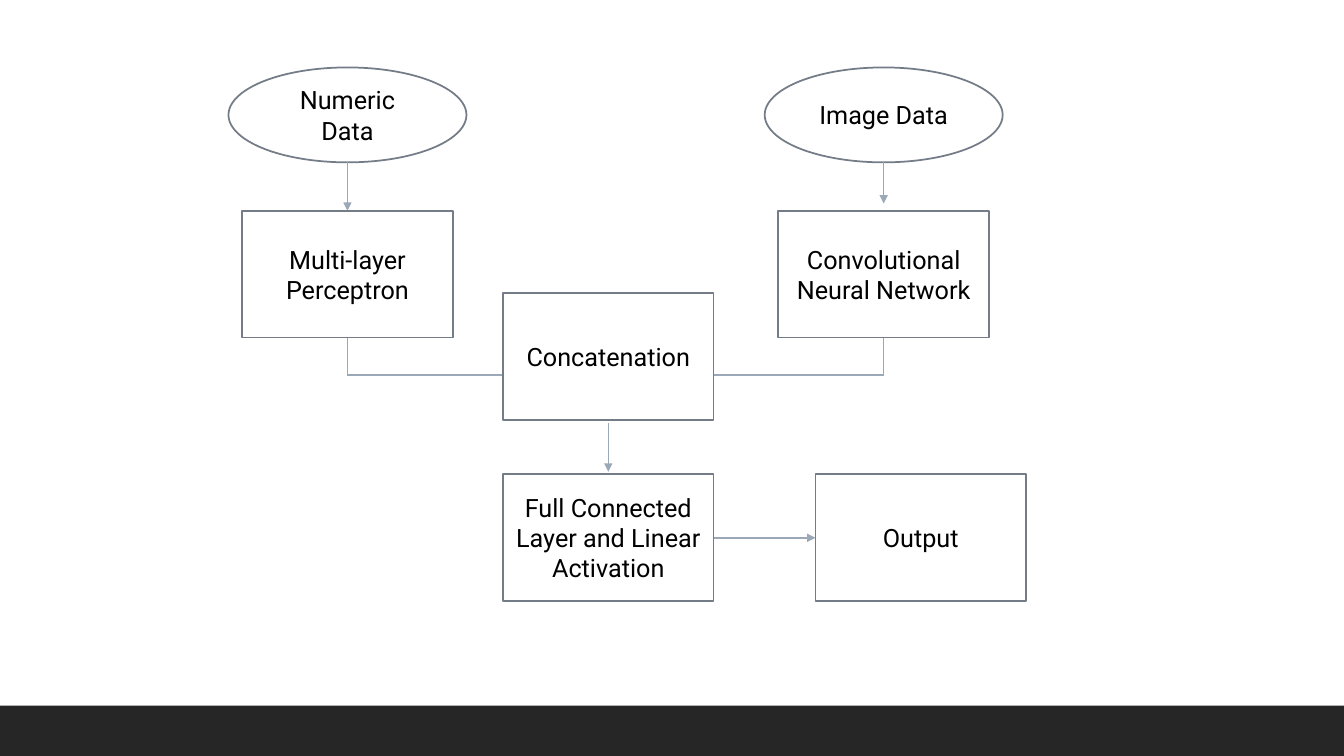
import pptx
import pptx.util
import pptx.dml.color
import pptx.enum.shapes
import pptx.enum.text
import pptx.oxml
import pptx.oxml.ns

Pt = pptx.util.Pt
SHAPE = pptx.enum.shapes.MSO_SHAPE

deck = pptx.Presentation()
deck.slide_width, deck.slide_height = Pt(960), Pt(540)
slide = deck.slides.add_slide(deck.slide_layouts[6])


def add_node(text, center, top, width=150.5, height=90.7, kind=SHAPE.RECTANGLE,
             fill="FFFFFF", outline="737C87"):
    """Add a filled shape centred on an x position; outline=None leaves out its border."""
    node = slide.shapes.add_shape(kind, Pt(center - width / 2), Pt(top), Pt(width), Pt(height))
    node.shadow.inherit = False
    node.fill.solid()
    node.fill.fore_color.rgb = pptx.dml.color.RGBColor.from_string(fill)
    if outline:
        node.line.color.rgb = pptx.dml.color.RGBColor.from_string(outline)
        node.line.width = Pt(1.25)
    else:
        node.line.fill.background()
    if text:
        node.text_frame.word_wrap = True
        node.text_frame.vertical_anchor = pptx.enum.text.MSO_ANCHOR.MIDDLE
        paragraph = node.text_frame.paragraphs[0]
        paragraph.alignment = pptx.enum.text.PP_ALIGN.CENTER
        run = paragraph.add_run()
        run.text = text
        run.font.name, run.font.size = "Roboto", Pt(18)
        run.font.color.rgb = pptx.dml.color.RGBColor.from_string("000000")


def add_link(x1, y1, x2, y2, arrow=True):
    link = slide.shapes.add_connector(
        pptx.enum.shapes.MSO_CONNECTOR.STRAIGHT, Pt(x1), Pt(y1), Pt(x2), Pt(y2))
    link.line.color.rgb = pptx.dml.color.RGBColor.from_string("9BA8B7")
    link.line.width = Pt(1)
    if arrow:
        head = pptx.oxml.ns.qn("a:tailEnd")
        link.line._get_or_add_ln().append(pptx.oxml.parse_xml(
            f'<a:tailEnd {pptx.oxml.ns.nsdecls("a")} type="triangle"/>'))
    link._element.spPr.append(pptx.oxml.parse_xml(
        f'<a:effectLst {pptx.oxml.ns.nsdecls("a")}/>'))


numeric_x, image_x, merge_x, output_x = 248.2, 631.2, 434.5, 657.7
join_y = 268
bottom_row = 338.4

add_node("", 480, 504, 960, 36, fill="262626", outline=None)

# Two input branches, each feeding its own network
branches = [
    ("Numeric Data", "Multi-layer Perceptron", numeric_x, 150.5),
    ("Image Data", "Convolutional Neural Network", image_x, 145.4),
]
for data, network, x, arrow_end in branches:
    add_node(data, x, 48.2, 170, 67.8, kind=SHAPE.OVAL)
    add_link(x, 116, x, arrow_end)
    add_node(network, x, 150.5)
    add_link(x, 241.6, x, join_y, arrow=False)
add_link(numeric_x, join_y, image_x, join_y, arrow=False)

# Merged path to the output
add_node("Concatenation", merge_x, 209.5)
add_link(merge_x, 302.4, merge_x, 337)
add_node("Full Connected Layer and Linear Activation", merge_x, bottom_row)
add_node("Output", output_x, bottom_row)
add_link(509.8, 384.2, 582.5, 384.2)

deck.save("out.pptx")
